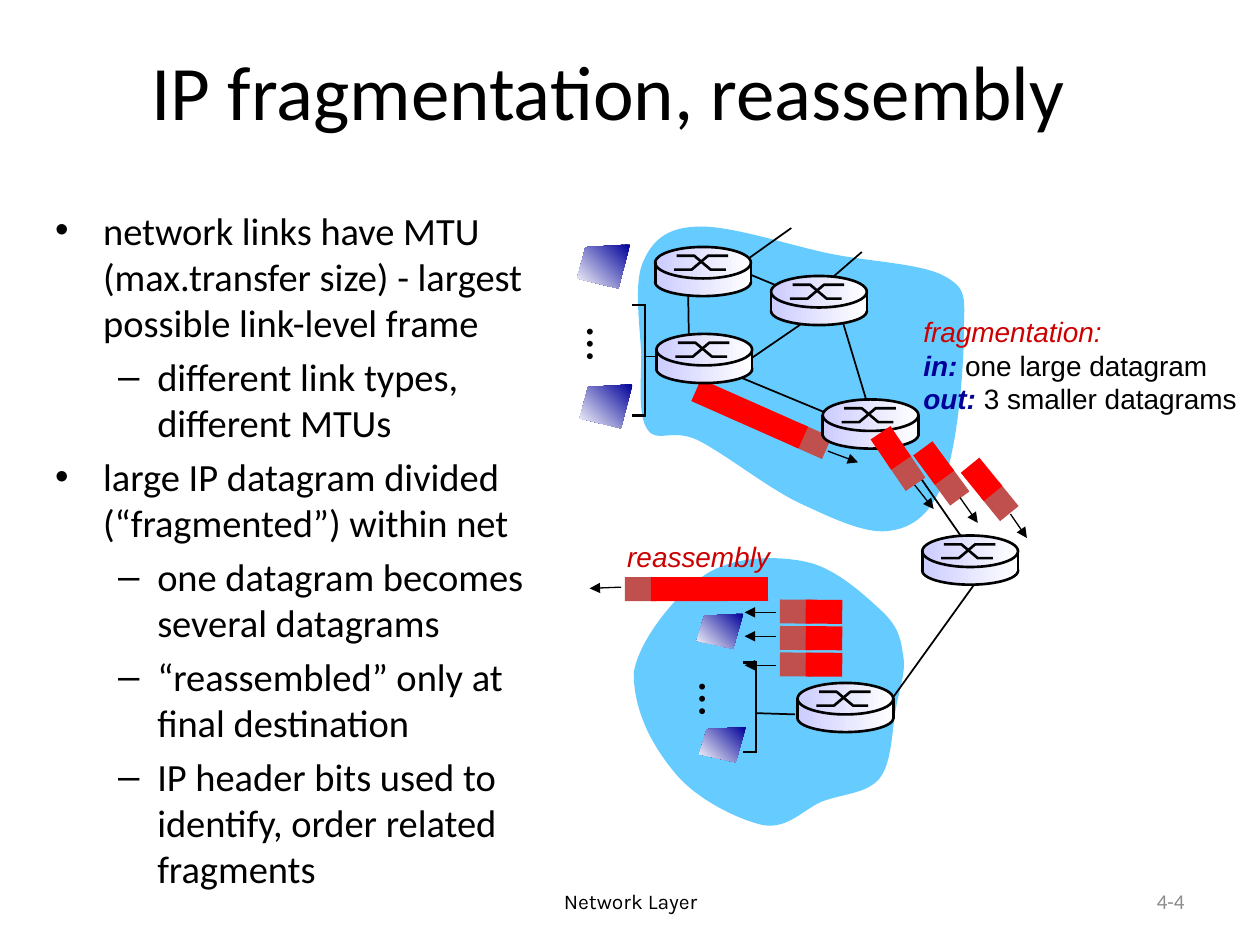
from math import cos, radians, sin

from lxml import etree
from pptx import Presentation
from pptx.dml.color import RGBColor
from pptx.enum import shapes, text
from pptx.oxml.ns import qn
from pptx.util import Inches, Pt

BLACK, RED, NAVY = "000000", "CC0000", "000099"
SKY, DATA, HEADER = "66CCFF", "FF0000", "C0504D"
ROUTER_GRADIENT = ("CCCCFF", "FFFFFF", 0)
COMPUTER_GRADIENT = (NAVY, "FFFFFF", 225)

# Offsets from the top left corner: a start point, then three points for each curve
NETWORK_CLOUD = [
    (.49, .02), (.25, .03), (.14, .14), (.07, .31), (0, .48), (.05, .81), (.06, 1.03),
    (.06, 1.25), (.03, 1.52), (.11, 1.63), (.18, 1.74), (.3, 1.62), (.5, 1.71),
    (.71, 1.81), (1.07, 2.1), (1.33, 2.22), (1.59, 2.34), (1.86, 2.47), (2.05, 2.43),
    (2.24, 2.4), (2.38, 2.27), (2.47, 2.01), (2.57, 1.75), (2.62, 1.14), (2.62, .88),
    (2.62, .61), (2.66, .52), (2.48, .42), (2.3, .31), (1.87, .3), (1.54, .23),
    (1.21, .16), (.74, 0), (.49, .02)]
DESTINATION_CLOUD = [
    (0, .93), (.04, .67), (.34, .3), (.57, .15), (.8, 0), (1.14, 0), (1.37, .05),
    (1.61, .1), (1.85, .33), (1.98, .45), (2.11, .58), (2.12, .67), (2.14, .8),
    (2.16, .93), (2.11, 1.05), (2.08, 1.22), (2.05, 1.38), (2.05, 1.65), (1.95, 1.77),
    (1.85, 1.89), (1.66, 1.89), (1.5, 1.95), (1.35, 2.01), (1.23, 2.17), (1.03, 2.14),
    (.84, 2.1), (.51, 1.94), (.34, 1.74), (.17, 1.54), (0, 1.26), (0, .93)]
LINKS = [
    (5.11, 2.83, 5.25, 2.83), (5.74, 2.09, 6.46, 2.39), (6.66, 2.46, 6.88, 3.19),
    (5.46, 2.21, 5.47, 2.85), (5.72, 2.93, 6.78, 3.37), (7.63, 4.26, 7.11, 3.51),
    (6.58, 2.42, 5.75, 2.99), (6.28, 1.81, 5.76, 2.18), (6.84, 2, 6.54, 2.26),
    (7.76, 4.6, 7.07, 5.56), (6, 5.66, 6.31, 5.67)]
ROUTERS = [(6.53, 3.17), (5.2, 1.96), (5.21, 2.65), (6.12, 2.19), (7.32, 4.25), (6.33, 5.42)]
BODY = [
    (0, "network links have MTU (max.transfer size) - largest possible link-level frame"),
    (1, "different link types, different MTUs"),
    (0, "large IP datagram divided (“fragmented”) within net"),
    (1, "one datagram becomes several datagrams"),
    (1, "“reassembled” only at final destination"),
    (1, "IP header bits used to identify, order related fragments")]


def color(value):
    return RGBColor.from_string(value)


def paint(shape, fill=None, line=None):
    """Fill with a hex colour or a (start, end, angle) gradient; outline if asked."""
    shape.shadow.inherit = False
    if fill is None:
        shape.fill.background()
    elif isinstance(fill, str):
        shape.fill.solid()
        shape.fill.fore_color.rgb = color(fill)
    else:
        shape.fill.gradient()
        shape.fill.gradient_angle = fill[2]
        for stop, value in zip(shape.fill.gradient_stops, fill):
            stop.color.rgb = color(value)
    if line:
        shape.line.color.rgb = color(line)
        shape.line.width = Pt(1.5)
    else:
        shape.line.fill.background()


def add_preset(slide, kind, box, fill, line=None):
    shape = slide.shapes.add_shape(kind, *map(Inches, box))
    paint(shape, fill, line)
    return shape


def add_outline(slide, left, top, points, fill=None, line=None, close=True):
    placed = [(Inches(left + x), Inches(top + y)) for x, y in points]
    builder = slide.shapes.build_freeform(*placed[0])
    builder.add_line_segments(placed[1:], close=close)
    shape = builder.convert_to_shape()
    paint(shape, fill, line)
    return shape


def add_cloud(slide, left, top, points):
    shape = add_outline(slide, left, top, points, SKY)
    segments = list(shape._element.iter(qn("a:lnTo")))
    for first, second, third in zip(*[iter(segments)] * 3):
        curve = etree.Element(qn("a:cubicBezTo"))
        first.addprevious(curve)
        for segment in (first, second, third):
            curve.append(segment[0])
            segment.getparent().remove(segment)


def add_line(slide, ends, width=1, arrow=False):
    line = slide.shapes.add_connector(shapes.MSO_CONNECTOR.STRAIGHT, *map(Inches, ends))
    line.line.color.rgb = color(BLACK)
    line.line.width = Pt(width)
    if arrow:
        etree.SubElement(line.line._get_or_add_ln(), qn("a:tailEnd"), type="triangle")
    etree.SubElement(line._element.spPr, qn("a:effectLst"))


def add_run(paragraph, words, size, font, value=BLACK, bold=False, italic=False):
    run = paragraph.add_run()
    run.text = words
    run.font.size, run.font.name = Pt(size), font
    run.font.bold, run.font.italic = bold, italic
    run.font.color.rgb = color(value)


def add_text(slide, box, paragraphs, align=text.PP_ALIGN.LEFT, wrap=False, middle=False):
    """Each paragraph is a list of runs, each run the arguments of add_run."""
    shape = slide.shapes.add_textbox(*map(Inches, box))
    frame = shape.text_frame
    frame.word_wrap = wrap
    frame.auto_size = text.MSO_AUTO_SIZE.NONE if wrap else text.MSO_AUTO_SIZE.SHAPE_TO_FIT_TEXT
    if middle:
        frame.vertical_anchor = text.MSO_ANCHOR.MIDDLE
    for index, runs in enumerate(paragraphs):
        paragraph = frame.paragraphs[0] if index == 0 else frame.add_paragraph()
        paragraph.alignment = align
        for run in runs:
            add_run(paragraph, *run)
    return shape


def add_title(slide, box, words):
    title = slide.shapes.title
    title.left, title.top, title.width, title.height = map(Inches, box)
    title.text_frame.vertical_anchor = text.MSO_ANCHOR.MIDDLE
    paragraph = title.text_frame.paragraphs[0]
    paragraph.alignment = text.PP_ALIGN.CENTER
    add_run(paragraph, words, 44, "Calibri")


def add_bullets(slide, box, items):
    shape = add_text(slide, box, [[(words, 22, "Calibri")] for _, words in items], wrap=True)
    for index, paragraph in enumerate(shape.text_frame.paragraphs):
        level = items[index][0]
        margin, hanging, mark = [(.38, .38, "•"), (.81, .31, "–")][level]
        paragraph.level = level
        properties = paragraph._p.get_or_add_pPr()
        properties.set("marL", str(Inches(margin)))
        properties.set("indent", str(-Inches(hanging)))
        etree.SubElement(properties, qn("a:buFont"), typeface="Arial")
        etree.SubElement(properties, qn("a:buChar"), char=mark)
        if index:
            paragraph.space_before = Pt(4.4)


def add_router(slide, left, top):
    width = .76
    oval, rectangle = shapes.MSO_SHAPE.OVAL, shapes.MSO_SHAPE.RECTANGLE
    add_preset(slide, oval, (left, top + .17, width, .22), ROUTER_GRADIENT, BLACK)
    add_preset(slide, rectangle, (left, top + .15, width, .13), ROUTER_GRADIENT)
    add_preset(slide, oval, (left, top, width, .25), ROUTER_GRADIENT, BLACK)
    rising = [(.15, .18), (.29, .18), (.42, .07), (.58, .07)]
    falling = [(.17, .07), (.31, .07), (.44, .18), (.56, .18)]
    for points in (rising, falling):
        add_outline(slide, left, top, points, line=BLACK, close=False)
    for x in (left, left + width):
        add_line(slide, (x, top + .12, x, top + .29), 1.5)


def add_packet(slide, x, y, angle, arrow, length=.29):
    """Data part centred on x, y, with its header ahead of it in the given direction."""
    ahead = length / 2 + .08
    header_x, header_y = x + ahead * cos(radians(angle)), y + ahead * sin(radians(angle))
    for part_x, part_y, size, fill in ((header_x, header_y, .25, HEADER), (x, y, length, DATA)):
        box = (part_x - size / 2, part_y - .1, size, .19)
        add_preset(slide, shapes.MSO_SHAPE.RECTANGLE, box, fill).rotation = angle
    add_line(slide, arrow, .75, arrow=True)


def add_lan(slide, left, top, width, height, computer, dots):
    """Two computers, dots between them and a bracket to their right."""
    right, upper, lower = left + width, top + height * .33, top + height * .93
    for y in (upper, lower):
        add_line(slide, (right - .11, y, right, y), 1.5)
    add_line(slide, (right - .01, upper, right - .01, lower))
    computer_width, computer_height = computer
    corners = [(1, 0), (.16, .06), (0, .77), (.78, 1)]
    points = [(x * computer_width, y * computer_height) for x, y in corners]
    for x, y in ((left, top), (left + .02, top + height - computer_height)):
        add_outline(slide, x, y, points, COMPUTER_GRADIENT)
    add_text(slide, (*dots, .59, .57), [[("…", 28, "Calibri")]]).rotation = 90


def add_network(slide):
    add_cloud(slide, 5.03, 1.78, NETWORK_CLOUD)
    add_cloud(slide, 5.03, 4.41, DESTINATION_CLOUD)
    for ends in LINKS:
        add_line(slide, ends)
    add_packet(slide, 5.95, 3.29, 23.9, (6.57, 3.58, 6.81, 3.67), .93)
    label = (16, "Arial")
    add_text(slide, (7.23, 2.45, 2.7, .9), [
        [("fragmentation:", *label, RED, False, True)],
        [("in:", *label, NAVY, True, True), (" one large datagram", *label)],
        [("out:", *label, NAVY, True, True), (" 3 smaller datagrams", *label)]])
    for y, arrow_y in ((4.86, 4.86), (5.07, 5.05), (5.28, 5.28)):
        add_packet(slide, 6.54, y, 180.4, (6.16, arrow_y, 5.91, arrow_y))
    add_packet(slide, 5.63, 4.68, 179.9, (4.93, 4.66, 4.68, 4.67), .93)
    add_text(slide, (4.88, 4.23, 1.34, .37), [[("reassembly", *label, RED, False, True)]])
    add_lan(slide, 4.58, 1.94, .55, 1.46, (.42, .35), (4.52, 2.51))
    add_lan(slide, 5.53, 4.87, .48, 1.18, (.37, .28), (5.41, 5.33))
    for left, top in ROUTERS:
        add_router(slide, left, top)
    add_packet(slide, 7.07, 3.56, 55.8, (7.26, 3.85, 7.41, 4.04))
    add_packet(slide, 7.41, 3.68, 53.6, (7.62, 3.95, 7.76, 4.15))
    add_packet(slide, 7.79, 3.81, 50.9, (8.02, 4.08, 8.15, 4.27))


def add_footer(slide, top):
    for left, width, run, align in (
            (3.42, 3.17, ("Network Layer", 12, "Karla"), text.PP_ALIGN.CENTER),
            (7.17, 2.33, ("4-4", 12, "Calibri", "8C8C8C"), text.PP_ALIGN.RIGHT)):
        add_text(slide, (left, top, width, .4), [[run]], align, wrap=True, middle=True)


def main():
    presentation = Presentation()
    presentation.slide_width, presentation.slide_height = Inches(10), Inches(7.5)
    slide = presentation.slides.add_slide(presentation.slide_layouts[5])
    add_footer(slide, 6.95)
    add_title(slide, (.58, .2, 8.5, 1.02), "IP fragmentation, reassembly")
    add_bullets(slide, (.34, 1.59, 4.17, 5.55), BODY)
    add_network(slide)
    presentation.save("out.pptx")


if __name__ == "__main__":
    main()
